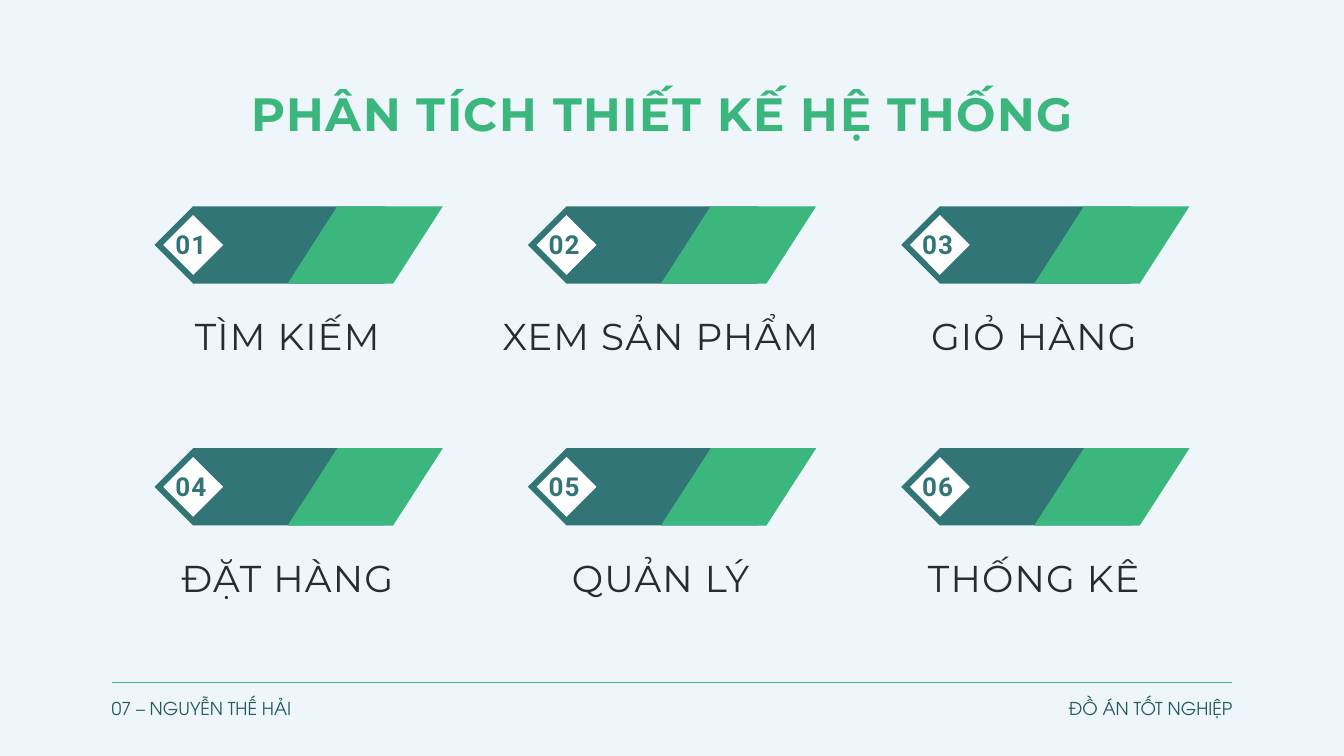
"""Build the system analysis and design slide: six numbered banners on a 3 x 2 grid."""
import pptx
import pptx.dml.color
import pptx.enum.shapes
import pptx.enum.text
import pptx.oxml
import pptx.oxml.ns
import pptx.util


class Theme:
    background, green, teal = "EFF6FB", "3BB77E", "327576"
    white, ink, footer = "FFFFFF", "2A2B2D", "235A5B"
    heading, digits, small = "Montserrat", "Roboto", "TeX Gyre Adventor"
    title_size, label_size, number_size, footer_size = 50, 40, 27.9, 19


MSO = pptx.enum.shapes.MSO_SHAPE
ALIGN = pptx.enum.text.PP_ALIGN
rgb = pptx.dml.color.RGBColor.from_string

prs = pptx.Presentation()
prs.slide_width = pptx.util.Inches(20)
prs.slide_height = pptx.util.Inches(11.25)
s = prs.slides.add_slide(prs.slide_layouts[6])
s.background.fill.solid()
s.background.fill.fore_color.rgb = rgb(Theme.background)

COLUMNS = 20
UNIT = prs.slide_width / COLUMNS
ROWS = prs.slide_height / UNIT
MARGIN = 1.66
RIGHT = COLUMNS - MARGIN


def add_block(kind, box, color):
    sp = s.shapes.add_shape(kind, *(round(v * UNIT) for v in box))
    sp.shadow.inherit = False
    sp.fill.solid()
    sp.fill.fore_color.rgb = rgb(color)
    sp.line.fill.background()
    return sp


def add_text(text, box, *, size, font, color, leading, bold=False, align=ALIGN.CENTER, tracking=0):
    sp = s.shapes.add_textbox(*(round(v * UNIT) for v in box))
    tf = sp.text_frame
    tf.margin_left = tf.margin_top = tf.margin_right = tf.margin_bottom = 0
    tf.word_wrap = True
    tf.auto_size = pptx.enum.text.MSO_AUTO_SIZE.SHAPE_TO_FIT_TEXT
    p = tf.paragraphs[0]
    p.alignment = align
    p.line_spacing = pptx.util.Pt(leading)
    r = p.add_run()
    r.text = text
    r.font.size = pptx.util.Pt(size)
    r.font.name = font
    r.font.bold = bold
    r.font.color.rgb = rgb(color)
    r.font._element.set("spc", str(round(tracking * 100)))


add_text("PHÂN TÍCH THIẾT KẾ HỆ THỐNG", (3.58, 1.13, 12.57, 0.93), size=Theme.title_size,
         font=Theme.heading, color=Theme.green, leading=70, bold=True, tracking=1.6)

labels = ["TÌM KIẾM", "XEM SẢN PHẨM", "GIỎ HÀNG", "ĐẶT HÀNG", "QUẢN LÝ", "THỐNG KÊ"]
column_pitch = COLUMNS * 5 / 18
row_pitch = ROWS * 0.32
height = 1.15
inset = 0.13
slant = 0.74

for i, label in enumerate(labels):
    row, column = divmod(i, 3)
    x = 2.3 + column * column_pitch
    y = 3.07 + row * row_pitch
    add_block(MSO.RECTANGLE, (x + height / 2, y, 2.85, height), Theme.teal)
    add_block(MSO.DIAMOND, (x, y, height, height), Theme.teal)
    add_block(MSO.DIAMOND, (x + inset, y + inset, height - 2 * inset, height - 2 * inset), Theme.white)
    sp = add_block(MSO.PARALLELOGRAM, (x + 1.98, y, 2.31, height), Theme.green)
    sp.adjustments[0] = slant / height
    add_text(f"{i + 1:02}", (x + 0.23, y + 0.25, 0.62, 0.53), size=Theme.number_size,
             font=Theme.digits, color=Theme.teal, leading=39, bold=True, tracking=1.2)
    add_text(label, (x - 0.53, y + 1.48, 5.01, 0.73), size=Theme.label_size,
             font=Theme.heading, color=Theme.ink, leading=56, tracking=1.3)

rule = s.shapes.add_connector(pptx.enum.shapes.MSO_CONNECTOR.STRAIGHT,
                              *(round(v * UNIT) for v in (MARGIN, 10.15, RIGHT, 10.15)))
rule.line.color.rgb = rgb(Theme.green)
rule.line.width = pptx.util.Pt(0.75)
rule._element.spPr.append(pptx.oxml.parse_xml(f"<a:effectLst {pptx.oxml.ns.nsdecls('a')}/>"))

footer_width = 4.86
for text, x, align in [("07 – NGUYỄN THẾ HẢI", MARGIN, ALIGN.LEFT),
                       ("ĐỒ ÁN TỐT NGHIỆP", RIGHT - footer_width, ALIGN.RIGHT)]:
    add_text(text, (x, 10.29, footer_width, 0.39), size=Theme.footer_size, font=Theme.small,
             color=Theme.footer, leading=29.4, align=align)

prs.save("out.pptx")
